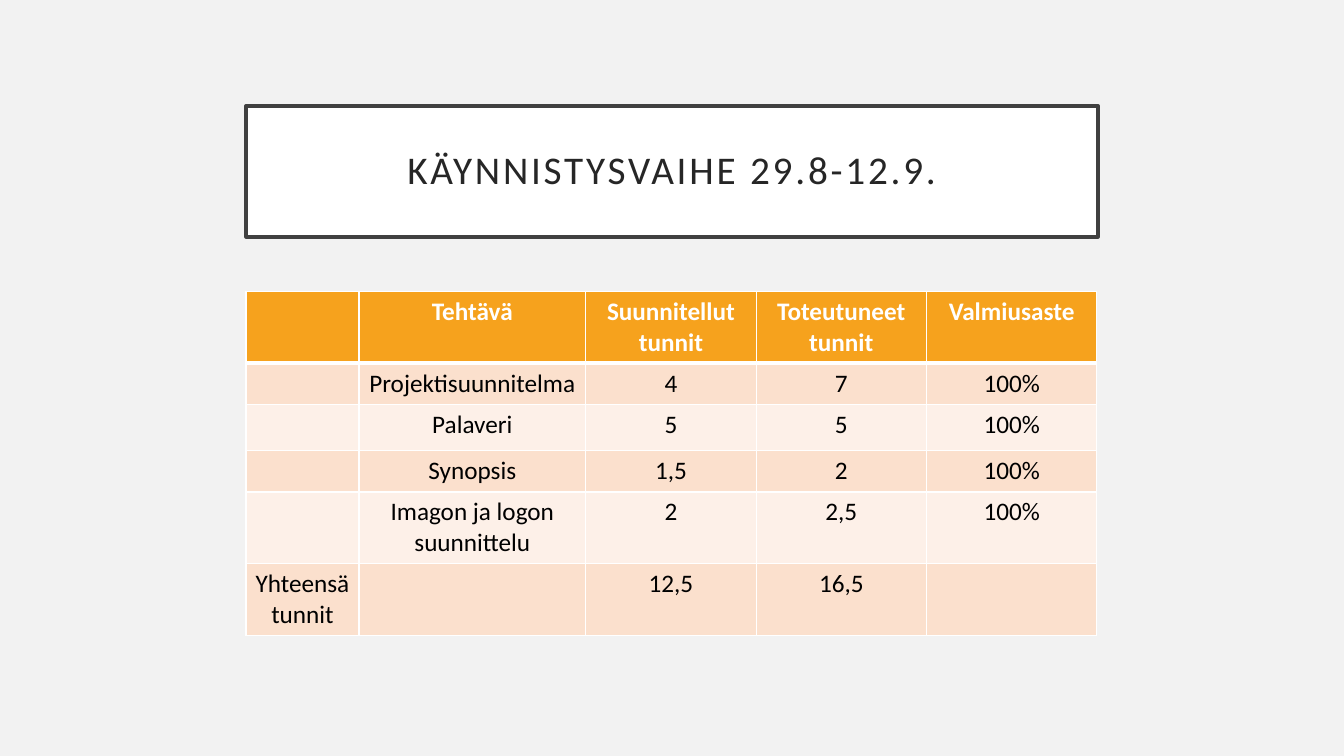
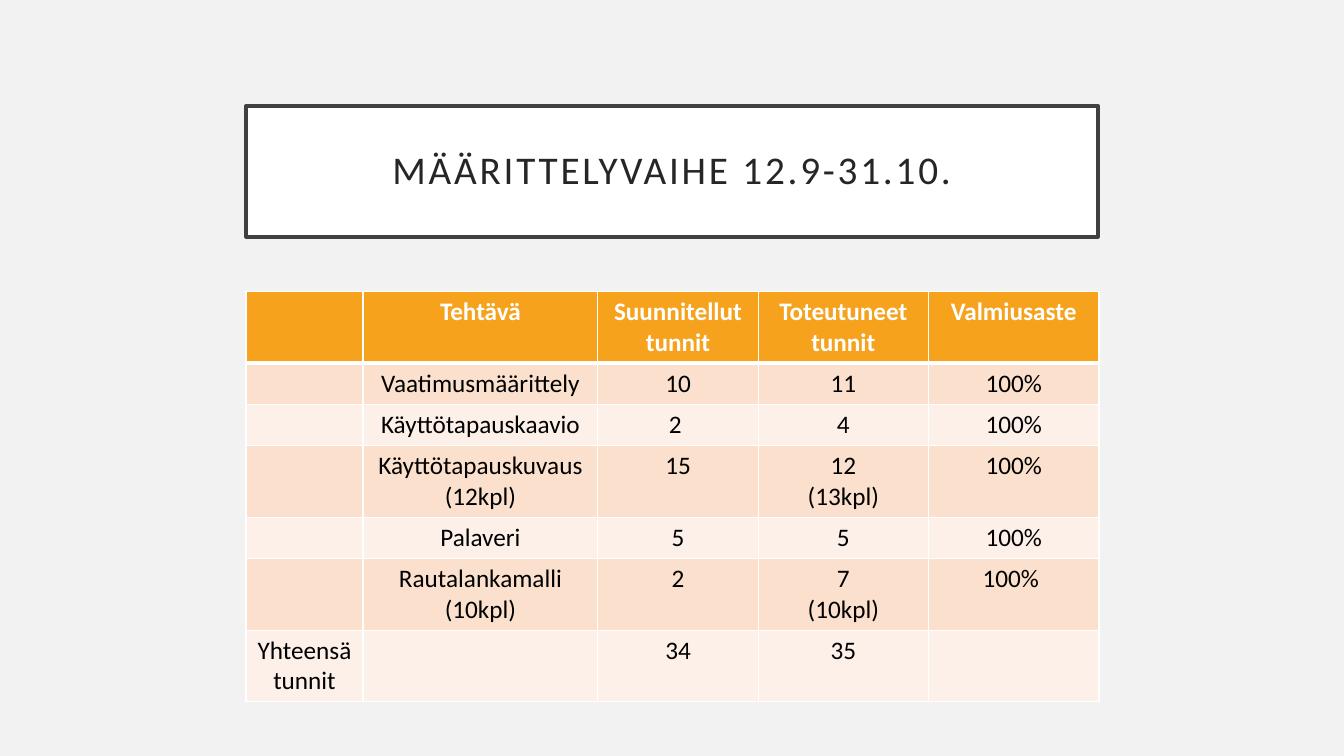
from dataclasses import dataclass

from lxml import etree
from pptx import Presentation
from pptx import util as u
from pptx.dml.color import RGBColor
from pptx.enum import shapes, text
from pptx.oxml import ns

COLORS = {
    "background": "F2F2F2",
    "white": "FFFFFF",
    "frame": "404040",
    "title": "262626",
    "header": "F6A21D",
    "band_dark": "FBE0CD",
    "band_light": "FDF0E8",
    "body": "000000",
}
FONT = "Calibri"
LEFT, WIDTH = 2.44, 8.45
TITLE_TOP, TITLE_HEIGHT = 1.05, 1.3
TABLE_TOP = 2.89
ONE_LINE, TWO_LINES = 0.41, 0.71
HEADER = ("", "Tehtävä", "Suunnitellut tunnit", "Toteutuneet tunnit", "Valmiusaste")


@dataclass(frozen=True)
class Row:
    cells: tuple[str, ...]
    height: float = ONE_LINE


@dataclass(frozen=True)
class Phase:
    title: str
    widths: tuple[float, ...]
    rows: tuple[Row, ...]


PHASES = (
    Phase(
        "KÄYNNISTYSVAIHE 29.8-12.9.",
        (1.12, 2.25, 1.69, 1.69, 1.69),
        (
            Row(("", "Projektisuunnitelma", "4", "7", "100%")),
            Row(("", "Palaveri", "5", "5", "100%"), 0.46),
            Row(("", "Synopsis", "1,5", "2", "100%")),
            Row(("", "Imagon ja logon suunnittelu", "2", "2,5", "100%"), TWO_LINES),
            Row(("Yhteensä tunnit", "", "12,5", "16,5", ""), TWO_LINES),
        ),
    ),
    Phase(
        "MÄÄRITTELYVAIHE 12.9-31.10.",
        (1.16, 2.33, 1.59, 1.69, 1.69),
        (
            Row(("", "Vaatimusmäärittely", "10", "11", "100%")),
            Row(("", "Käyttötapauskaavio", "2 ", "4", "100%")),
            Row(("", "Käyttötapauskuvaus (12kpl)", "15", "12\n(13kpl)", "100%"), TWO_LINES),
            Row(("", "Palaveri", "5", "5", "100%")),
            Row(("", "Rautalankamalli (10kpl)", "2", "7\n(10kpl)", "100% "), TWO_LINES),
            Row(("Yhteensä tunnit", "", "34", "35", ""), TWO_LINES),
        ),
    ),
)


def rgb(name: str) -> RGBColor:
    return RGBColor.from_string(COLORS[name])


def style_paragraph(p, size: float, color: str, bold: bool = False) -> None:
    p.alignment = text.PP_ALIGN.CENTER
    p.font.name = FONT
    p.font.size = u.Pt(size)
    p.font.bold = bold
    p.font.color.rgb = rgb(color)


def set_borders(cell, top: float, bottom: float) -> None:
    tc_pr = cell._tc.get_or_add_tcPr()
    for side, width in (("L", 1), ("R", 1), ("T", top), ("B", bottom)):
        ln = etree.SubElement(tc_pr, ns.qn(f"a:ln{side}"), w=str(u.Pt(width)))
        fill = etree.SubElement(ln, ns.qn("a:solidFill"))
        etree.SubElement(fill, ns.qn("a:srgbClr"), val=COLORS["white"])


def add_title(s, title: str) -> None:
    sp = s.shapes.add_shape(
        shapes.MSO_SHAPE.RECTANGLE,
        u.Inches(LEFT), u.Inches(TITLE_TOP), u.Inches(WIDTH), u.Inches(TITLE_HEIGHT),
    )
    sp.shadow.inherit = False
    sp.fill.solid()
    sp.fill.fore_color.rgb = rgb("white")
    sp.line.color.rgb = rgb("frame")
    sp.line.width = u.Pt(2.5)
    tf = sp.text_frame
    tf.word_wrap = True
    tf.vertical_anchor = text.MSO_ANCHOR.MIDDLE
    tf.margin_left = tf.margin_right = tf.margin_top = tf.margin_bottom = u.Inches(0.2)
    p = tf.paragraphs[0]
    style_paragraph(p, 28, "title")
    p.line_spacing = 0.9
    r = p.add_run()
    r.text = title
    r._r.get_or_add_rPr().set("spc", "200")


def fill_cell(cell, content: str, row: int) -> None:
    header = row == 0
    set_borders(cell, top=3 if row == 1 else 1, bottom=3 if header else 1)
    band = "band_dark" if row % 2 else "band_light"
    cell.fill.solid()
    cell.fill.fore_color.rgb = rgb("header" if header else band)
    cell.margin_left = cell.margin_right = u.Inches(0.07)
    cell.margin_top = cell.margin_bottom = u.Inches(0.05)
    cell.text = content
    for p in cell.text_frame.paragraphs:
        style_paragraph(p, 18, "white" if header else "body", header)


def add_hours_table(s, phase: Phase) -> None:
    rows = (Row(HEADER, TWO_LINES), *phase.rows)
    table = s.shapes.add_table(
        len(rows), len(HEADER),
        u.Inches(LEFT), u.Inches(TABLE_TOP),
        u.Inches(WIDTH), u.Inches(sum(row.height for row in rows)),
    ).table
    for column, width in zip(table.columns, phase.widths):
        column.width = u.Inches(width)
    for i, row in enumerate(rows):
        table.rows[i].height = u.Inches(row.height)
        for j, content in enumerate(row.cells):
            fill_cell(table.cell(i, j), content, i)


def main() -> None:
    prs = Presentation()
    prs.slide_width = u.Inches(13.33)
    prs.slide_height = u.Inches(7.5)
    background = prs.slide_master.background.fill
    background.solid()
    background.fore_color.rgb = rgb("background")
    for phase in PHASES:
        s = prs.slides.add_slide(prs.slide_layouts[6])
        add_title(s, phase.title)
        add_hours_table(s, phase)
    prs.save("out.pptx")


if __name__ == "__main__":
    main()
